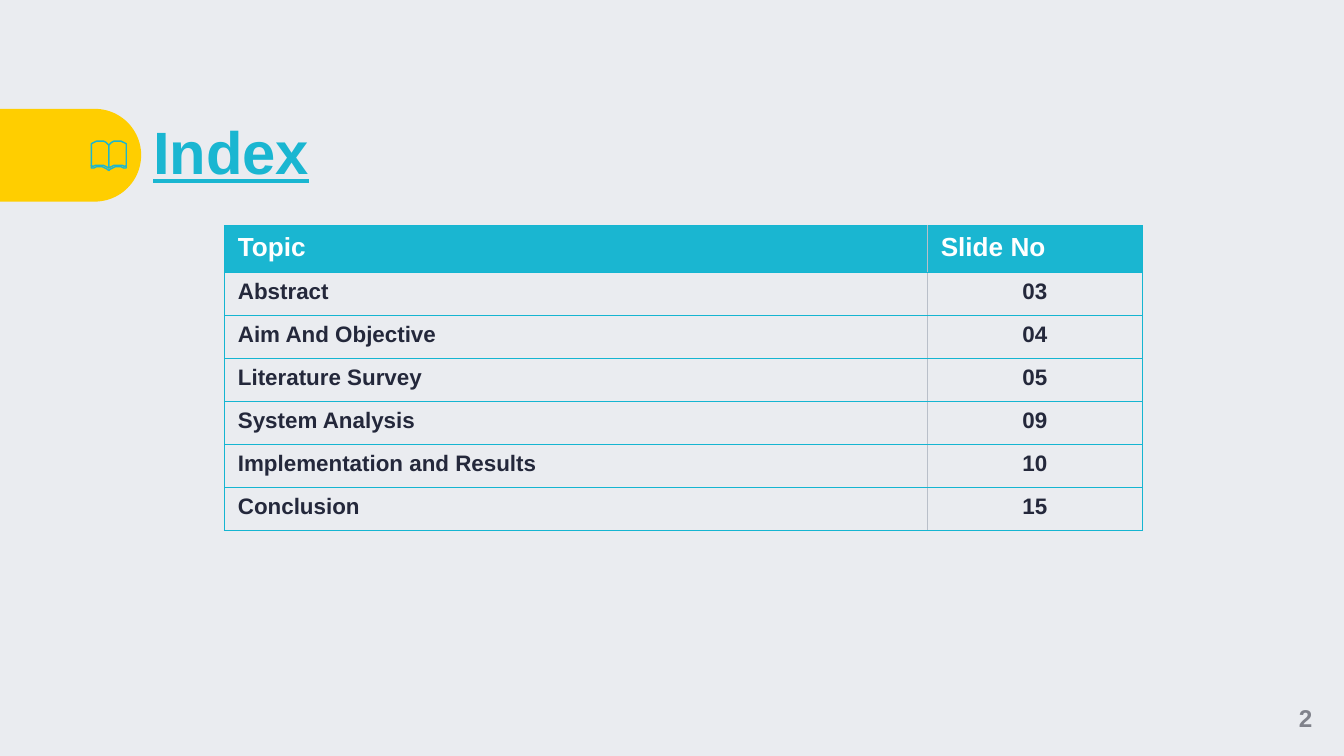
from dataclasses import dataclass

from lxml.etree import SubElement
from pptx import Presentation
from pptx.dml.color import RGBColor
from pptx.enum.shapes import MSO_SHAPE
from pptx.enum.text import MSO_ANCHOR, MSO_AUTO_SIZE, PP_ALIGN
from pptx.oxml.ns import qn
from pptx.util import Inches, Pt


@dataclass(frozen=True)
class Theme:
    font: str = "Arial"
    background: str = "EAECF0"
    accent: str = "1AB6D1"
    border: str = "15B5D1"
    divider: str = "B9BFC9"
    tab: str = "FFCE00"
    ink: str = "24283B"
    muted: str = "80828B"
    white: str = "FFFFFF"
    title_size: int = 32
    header_size: int = 14
    number_size: int = 13
    body_size: int = 12
    line_width: float = 0.75


THEME = Theme()

TOPICS = [
    ("Topic", "Slide No"),
    ("Abstract", "03"),
    ("Aim And Objective", "04"),
    ("Literature Survey", "05"),
    ("System Analysis", "09"),
    ("Implementation and Results", "10"),
    ("Conclusion", "15"),
]
COLUMN_WIDTHS = (5.23, 1.6)
HEADER_HEIGHT, ROW_HEIGHT = 0.35, 0.32

# Left half of the open book, in inches; the right half mirrors it.
SPINE_X = 0.81
LEFT_PAGE = [
    (0.81, 1.08), (0.81, 1.25), (0.79, 1.24), (0.77, 1.23), (0.74, 1.23),
    (0.71, 1.23), (0.69, 1.24), (0.68, 1.23), (0.68, 1.07), (0.7, 1.06),
    (0.72, 1.05), (0.74, 1.05), (0.77, 1.05), (0.79, 1.06), (0.8, 1.07),
]
LEFT_COVER = [
    (0.68, 1.23), (0.68, 1.25), (0.7, 1.25), (0.72, 1.24), (0.76, 1.24),
    (0.78, 1.25), (0.8, 1.26), (0.81, 1.27),
]


def rgb(color):
    return RGBColor.from_string(color)


def write(frame, text, size, color, align=PP_ALIGN.LEFT):
    frame.text = text
    paragraph = frame.paragraphs[0]
    paragraph.alignment = align
    font = paragraph.runs[0].font
    font.name, font.size, font.bold = THEME.font, Pt(size), True
    font.color.rgb = rgb(color)
    return paragraph


def fit_tightly(frame):
    """Centre the text vertically, without margins or automatic sizing."""
    frame.margin_left = frame.margin_right = 0
    frame.margin_top = frame.margin_bottom = 0
    frame.vertical_anchor = MSO_ANCHOR.MIDDLE
    frame.auto_size = MSO_AUTO_SIZE.NONE
    frame.word_wrap = True


def add_title(slide, text):
    title = slide.shapes.title
    title.left, title.top = Inches(1.14), Inches(0.81)
    title.width, title.height = Inches(7.88), Inches(0.69)
    fit_tightly(title.text_frame)
    heading = write(title.text_frame, text, THEME.title_size, THEME.accent)
    heading.line_spacing = 0.9
    heading.runs[0].font.underline = True


def add_side_tab(slide):
    tab = slide.shapes.add_shape(
        MSO_SHAPE.ROUND_2_SAME_RECTANGLE,
        Inches(0.18), Inches(0.63), Inches(0.69), Inches(1.05))
    tab.rotation = 90
    tab.adjustments[0], tab.adjustments[1] = 0.5, 0
    tab.shadow.inherit = False
    tab.fill.solid()
    tab.fill.fore_color.rgb = rgb(THEME.tab)
    tab.line.fill.background()


def add_outline(slide, points, close):
    start, *rest = [(Inches(x), Inches(y)) for x, y in points]
    builder = slide.shapes.build_freeform(*start)
    builder.add_line_segments(rest, close=close)
    outline = builder.convert_to_shape()
    outline.shadow.inherit = False
    outline.fill.background()
    outline.line.color.rgb = rgb(THEME.accent)
    outline.line.width = Pt(THEME.line_width)


def add_book(slide):
    for points, close in ((LEFT_COVER, False), (LEFT_PAGE, True)):
        mirrored = [(2 * SPINE_X - x, y) for x, y in points]
        add_outline(slide, points, close)
        add_outline(slide, mirrored, close)


def set_borders(cell, colors):
    """Draw the left, right, top and bottom borders, in that order."""
    properties = cell._tc.get_or_add_tcPr()
    for side, color in zip("LRTB", colors):
        line = SubElement(properties, qn(f"a:ln{side}"),
                          w=str(Pt(THEME.line_width)))
        fill = SubElement(line, qn("a:solidFill"))
        SubElement(fill, qn("a:srgbClr"), val=color)


def format_cell(cell, text, is_header, is_number):
    edge, divider = THEME.border, THEME.divider
    sides = (divider, edge) if is_number else (edge, divider)
    set_borders(cell, (*sides, edge, edge))
    if is_header:
        cell.fill.solid()
        cell.fill.fore_color.rgb = rgb(THEME.accent)
        write(cell.text_frame, text, THEME.header_size, THEME.white)
    else:
        cell.fill.background()
        align = PP_ALIGN.CENTER if is_number else PP_ALIGN.LEFT
        write(cell.text_frame, text, THEME.body_size, THEME.ink, align)


def add_index_table(slide):
    heights = [HEADER_HEIGHT] + [ROW_HEIGHT] * (len(TOPICS) - 1)
    table = slide.shapes.add_table(
        len(TOPICS), len(COLUMN_WIDTHS), Inches(1.67), Inches(1.68),
        Inches(sum(COLUMN_WIDTHS)), Inches(sum(heights))).table
    table.horz_banding = False
    for column, width in zip(table.columns, COLUMN_WIDTHS):
        column.width = Inches(width)
    for r, (entry, height) in enumerate(zip(TOPICS, heights)):
        table.rows[r].height = Inches(height)
        for c, text in enumerate(entry):
            format_cell(table.cell(r, c), text, r == 0, c == 1)


def add_slide_number(slide, number):
    frame = slide.shapes.add_textbox(
        Inches(9.43), Inches(5.06), Inches(0.57), Inches(0.56)).text_frame
    fit_tightly(frame)
    write(frame, number, THEME.number_size, THEME.muted, PP_ALIGN.CENTER)


def main():
    presentation = Presentation()
    presentation.slide_width = Inches(10)
    presentation.slide_height = Inches(10 * 9 / 16)
    slide = presentation.slides.add_slide(presentation.slide_layouts[5])
    slide.background.fill.solid()
    slide.background.fill.fore_color.rgb = rgb(THEME.background)
    add_side_tab(slide)
    add_title(slide, "Index")
    add_slide_number(slide, "2")
    add_book(slide)
    add_index_table(slide)
    presentation.save("out.pptx")


if __name__ == "__main__":
    main()
